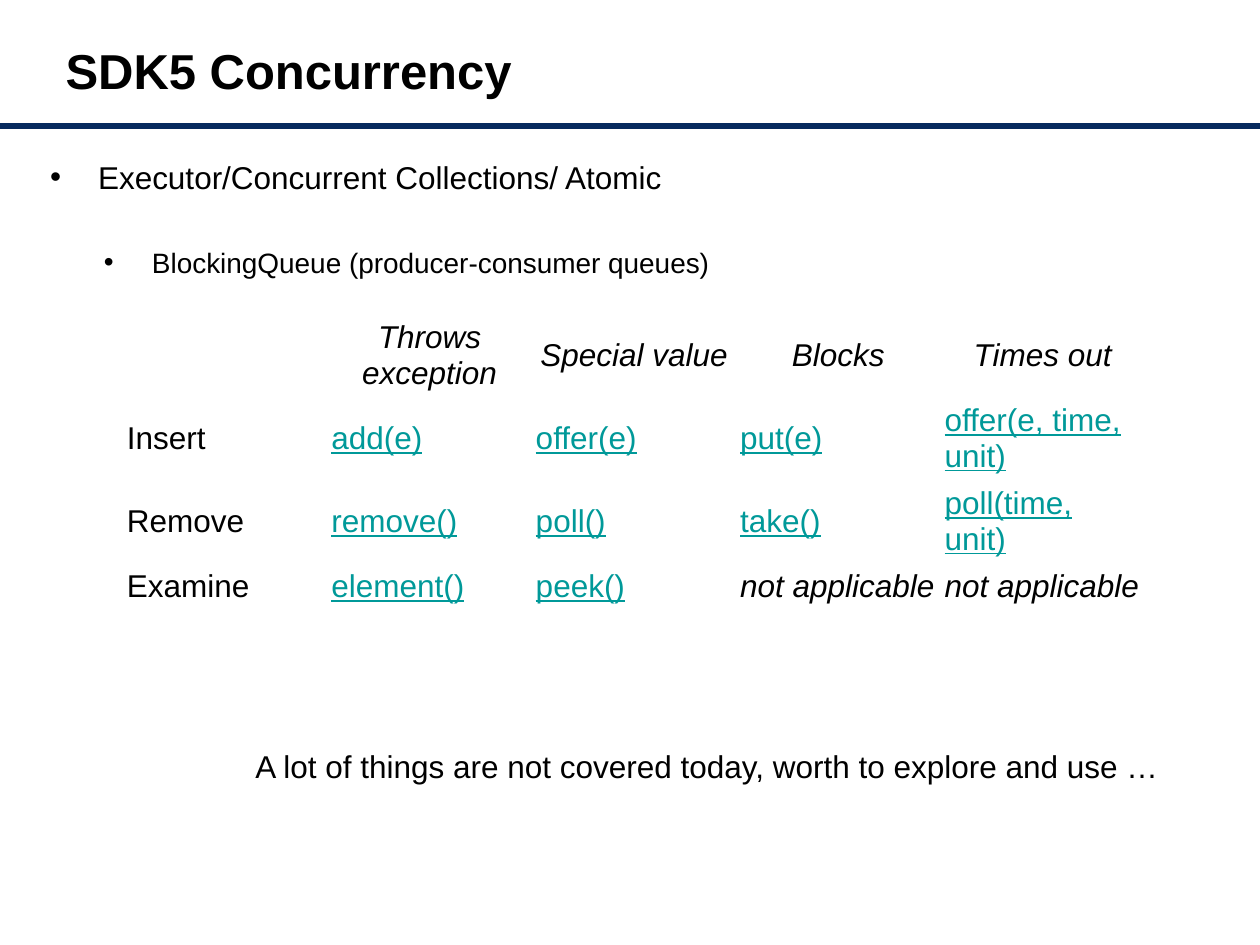
import pptx
import pptx.dml.color
import pptx.enum.shapes
import pptx.enum.text
import pptx.oxml
import pptx.oxml.ns
import pptx.util
from lxml import etree

BLACK = pptx.dml.color.RGBColor(0x00, 0x00, 0x00)
NAVY = pptx.dml.color.RGBColor(0x07, 0x2A, 0x5E)
TEAL = pptx.dml.color.RGBColor(0x00, 0x99, 0x99)
ALIGN = pptx.enum.text.PP_ALIGN
MIDDLE = pptx.enum.text.MSO_ANCHOR.MIDDLE
NO_FIT = pptx.enum.text.MSO_AUTO_SIZE.NONE
qn = pptx.oxml.ns.qn


def px(n):
    return pptx.util.Emu(round(n * 914400 / 126))


def write(p, text, size=18, color=BLACK, **values):
    r = p.add_run()
    r.text = text
    r.font.color.rgb = color
    values.update(name="Arial", size=pptx.util.Pt(size))
    for key, value in values.items():
        setattr(r.font, key, value)


prs = pptx.Presentation()
prs.slide_width, prs.slide_height = px(1260), px(945)
s = prs.slides.add_slide(prs.slide_layouts[1])

# Rule under the title
line = s.shapes.add_connector(
    pptx.enum.shapes.MSO_CONNECTOR.STRAIGHT, px(0), px(126), px(1260), px(126))
line.line.color.rgb = NAVY
line.line.width = pptx.util.Pt(3)
etree.SubElement(line._element.spPr, qn("a:effectLst"))

# Title, body and closing remark frames
title, body = s.placeholders
note = s.shapes.add_textbox(px(243), px(741), px(936), px(89))
frames = [
    (title, (53, 31, 1134, 78), {"vertical_anchor": MIDDLE}),
    (body, (44, 158, 1174, 693),
     {"margin_left": px(6), "margin_top": 0, "margin_right": 0, "margin_bottom": 0}),
    (note, (243, 741, 936, 89), {}),
]
for sp, box, values in frames:
    for key, n in zip(("left", "top", "width", "height"), box):
        setattr(sp, key, px(n))
    values.update(word_wrap=True, auto_size=NO_FIT)
    for key, value in values.items():
        setattr(sp.text_frame, key, value)

p = title.text_frame.paragraphs[0]
p.alignment = ALIGN.LEFT
write(p, "SDK5 Concurrency", 28, bold=True)
write(note.text_frame.paragraphs[0],
      "A lot of things are not covered today, worth to explore and use …")

# Bullets: text, level, size, indent in px, space before in points
bullets = [
    ("Executor/Concurrent Collections/ Atomic", 0, 18, 48, 0),
    ("BlockingQueue (producer-consumer queues)", 1, 16, 102, 28.5),
]
tf = body.text_frame
for i, (text, level, size, indent, before) in enumerate(bullets):
    p = tf.add_paragraph() if i else tf.paragraphs[0]
    p.level = level
    p.space_before = pptx.util.Pt(before)
    pPr = p._p.get_or_add_pPr()
    pPr.set("marL", str(px(indent)))
    pPr.set("indent", str(px(-48)))
    etree.SubElement(pPr, qn("a:buChar")).set("char", "•")
    write(p, text, size)

# Table of queue methods
rows = [
    ("", "Throws exception", "Special value", "Blocks", "Times out"),
    ("Insert", "add(e)", "offer(e)", "put(e)", "offer(e, time, unit)"),
    ("Remove", "remove()", "poll()", "take()", "poll(time, unit)"),
    ("Examine", "element()", "peek()", "not applicable", "not applicable"),
]
heights = (83, 83, 83, 47)
table = s.shapes.add_table(4, 5, px(123), px(314), px(1022), px(sum(heights))).table
table.first_row = table.horz_banding = False
for row, height in zip(table.rows, heights):
    row.height = px(height)
cell_format = {"vertical_anchor": MIDDLE}
for side in ("left", "top", "right", "bottom"):
    cell_format["margin_" + side] = px(4)
for i, row in enumerate(rows):
    for j, text in enumerate(row):
        cell = table.cell(i, j)
        cell.fill.background()
        for key, value in cell_format.items():
            setattr(cell, key, value)
        p = cell.text_frame.paragraphs[0]
        p.alignment = ALIGN.LEFT if i else ALIGN.CENTER
        if text.endswith(")"):
            write(p, text, color=TEAL, underline=True)
        elif text:
            write(p, text, italic=j > 0)

prs.save("out.pptx")
